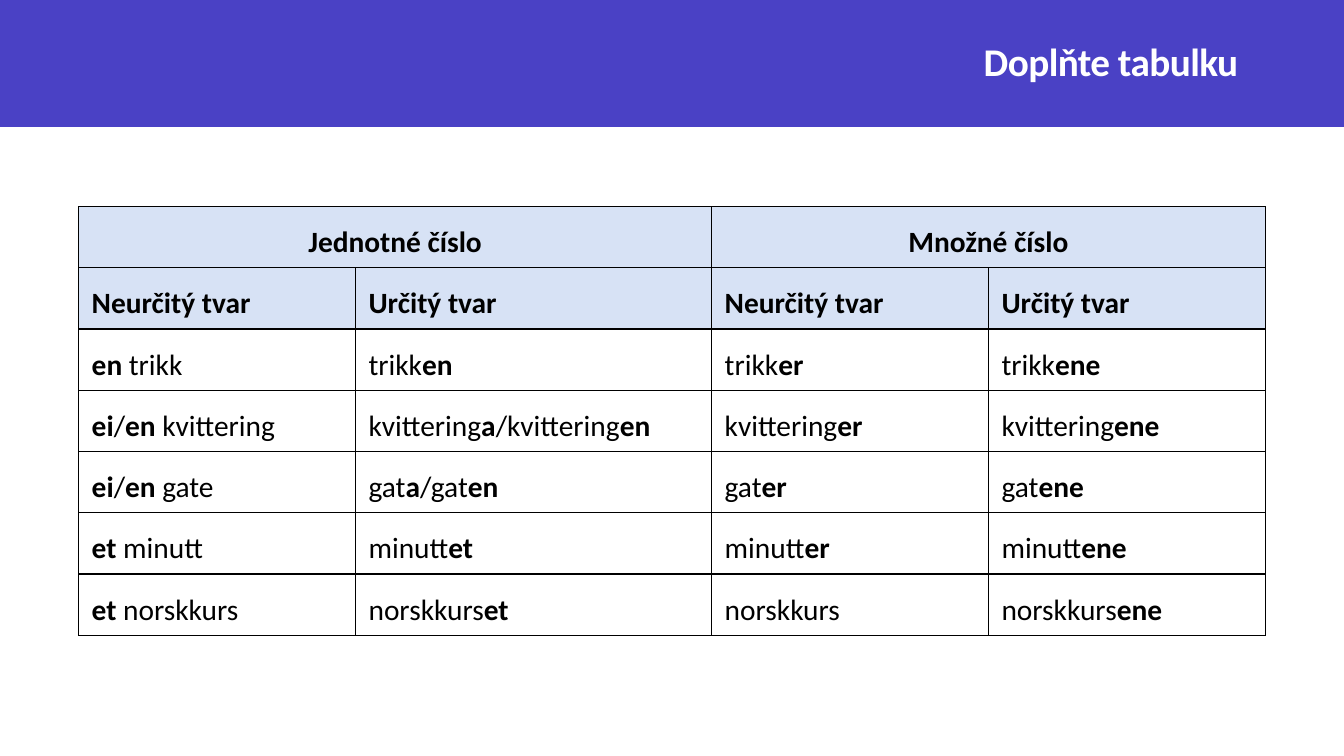
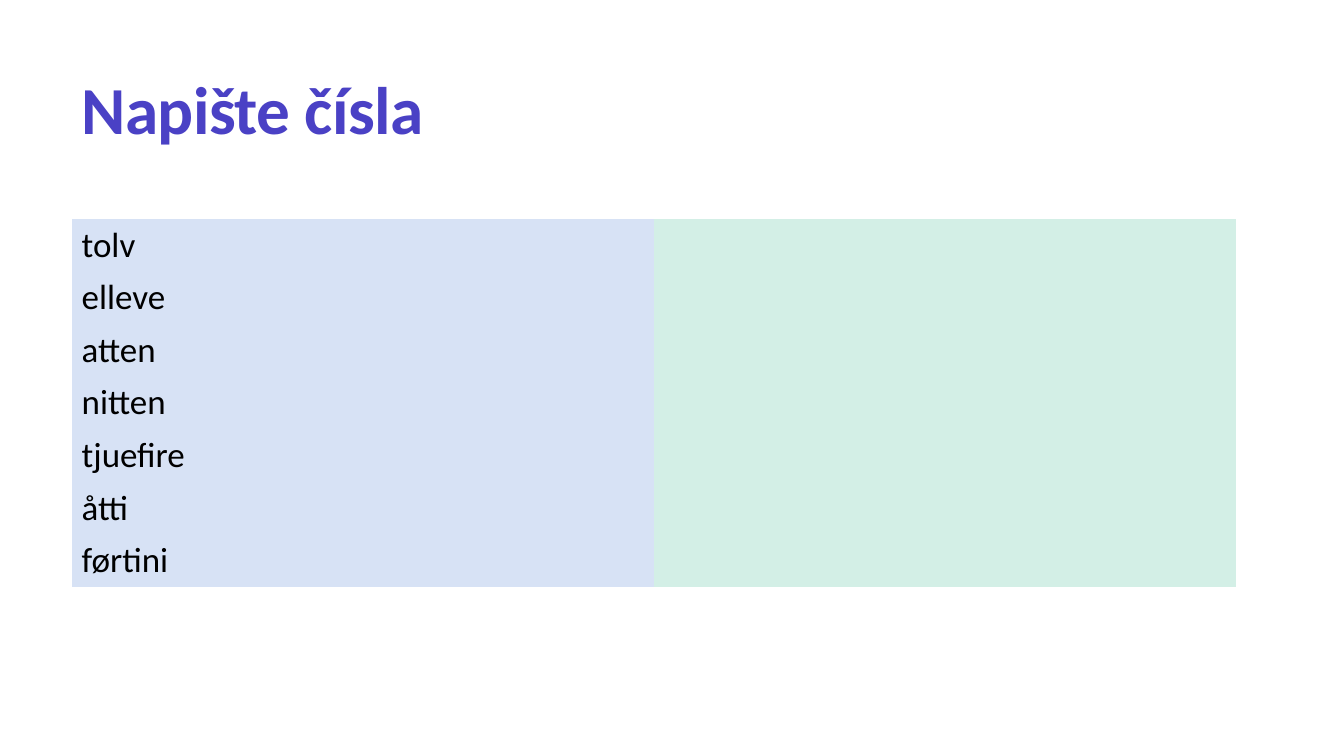
from lxml.etree import SubElement as Sub
from pptx import Presentation
from pptx.dml.color import RGBColor as Rgb
from pptx.enum.shapes import MSO_SHAPE as Shape
from pptx.enum.text import MSO_ANCHOR as Anchor, PP_ALIGN as Align
from pptx.oxml.ns import qn
from pptx.util import Inches, Pt

WIDE, HIGH = 13.33, 7.5
FONT = "Calibri"
VIOLET, BLUE, MINT = "4A41C5", "D7E2F5", "D3EFE6"
WHITE, BLACK = "FFFFFF", "000000"
PLAIN = "{2D5ABB26-0587-4C30-8999-92F81FD0307C}"

FORMS = [
    ["*Jednotné číslo*", "", "*Množné číslo*", ""],
    ["*Neurčitý tvar*", "*Určitý tvar*"] * 2,
    ["*en* trikk", "trikk*en*", "trikk*er*", "trikk*ene*"],
    ["*ei*/*en* kvittering", "kvittering*a*/kvittering*en*",
     "kvittering*er*", "kvittering*ene*"],
    ["*ei*/*en* gate", "gat*a*/gat*en*", "gat*er*", "gat*ene*"],
    ["*et* minutt", "minutt*et*", "minutt*er*", "minutt*ene*"],
    ["*et* norskkurs", "norskkurs*et*", "norskkurs", "norskkurs*ene*"],
]
WORDS = ["tolv", "elleve", "atten", "nitten", "tjuefire", "åtti", "førtini"]


def col(share):
    return Inches(WIDE * share / 100)


def row(share):
    return Inches(HIGH * share / 100)


def area(left, top, width, height):
    return col(left), row(top), col(width), row(height)


def color(code):
    return Rgb.from_string(code)


def paint(item, code):
    item.fill.solid()
    item.fill.fore_color.rgb = color(code)


def style(run, size, code=BLACK, bold=False):
    font = run.font
    font.name, font.size, font.bold = FONT, Pt(size), bold
    font.color.rgb = color(code)


def add_band(slide, height):
    band = slide.shapes.add_shape(Shape.RECTANGLE, *area(0, 0, 100, height))
    band.shadow.inherit = False
    band.line.fill.background()
    paint(band, VIOLET)


def add_title(slide, text, place, size, code, align, anchor):
    frame = slide.shapes.add_textbox(*area(*place)).text_frame
    frame.word_wrap = True
    frame.vertical_anchor = anchor
    frame.text = text
    para = frame.paragraphs[0]
    para.alignment, para.line_spacing = align, 0.9
    run = para.runs[0]
    style(run, size, code, True)
    run.font._element.set("spc", "-40")


def add_grid(slide, left, top, widths, height, count):
    place = area(left, top, sum(widths), height * count)
    frame = slide.shapes.add_table(count, len(widths), *place)
    grid = frame.table
    grid.first_row = grid.horz_banding = False
    next(frame.element.iter(qn("a:tableStyleId"))).text = PLAIN
    for column, width in zip(grid.columns, widths):
        column.width = col(width)
    for line in grid.rows:
        line.height = row(height)
    return grid


def outline(cell):
    props = cell._tc.get_or_add_tcPr()
    for side in "LRTB":
        line = Sub(props, qn(f"a:ln{side}"), w=str(Pt(1)))
        fill = Sub(line, qn("a:solidFill"))
        Sub(fill, qn("a:srgbClr"), val=BLACK)


def write(cell, text, size):
    para = cell.text_frame.paragraphs[0]
    for spot, part in enumerate(text.split("*")):
        if part:
            run = para.add_run()
            run.text = part
            style(run, size, bold=spot % 2 == 1)
    return para


def fill_forms(grid):
    for y, line in enumerate(FORMS):
        align = (Align.CENTER, Align.LEFT)[y] if y < 2 else Align.JUSTIFY
        for x, text in enumerate(line):
            cell = grid.cell(y, x)
            outline(cell)
            paint(cell, BLUE if y < 2 else WHITE)
            cell.margin_left = cell.margin_right = Inches(0.13)
            cell.margin_top = cell.margin_bottom = 0
            para = write(cell, text, 21)
            para.alignment = align
            para.line_spacing, para.space_after = 1.5, Pt(8)
    for x in (0, 2):
        grid.cell(0, x).merge(grid.cell(0, x + 1))


def fill_words(grid):
    for y, word in enumerate(WORDS):
        write(grid.cell(y, 0), word, 25)
        for x, code in enumerate((BLUE, MINT)):
            paint(grid.cell(y, x), code)


def main():
    deck = Presentation()
    deck.slide_width, deck.slide_height = Inches(WIDE), Inches(HIGH)
    blank = deck.slide_layouts[6]

    slide = deck.slides.add_slide(blank)
    add_band(slide, 16.8)
    add_title(slide, "Doplňte tabulku", (8.1, 2.8, 84.75, 11.33),
              28, WHITE, Align.RIGHT, Anchor.MIDDLE)
    widths = [20.6, 26.5, 20.6, 20.6]
    fill_forms(add_grid(slide, 5.85, 27.33, widths, 8.1, len(FORMS)))

    slide = deck.slides.add_slide(blank)
    add_title(slide, "Napište čísla", (5.33, 5.33, 86.6, 15.07),
              48, VIOLET, Align.LEFT, Anchor.BOTTOM)
    fill_words(add_grid(slide, 5.33, 28.93, [43.3] * 2, 6.97, len(WORDS)))

    deck.save("out.pptx")


if __name__ == "__main__":
    main()
